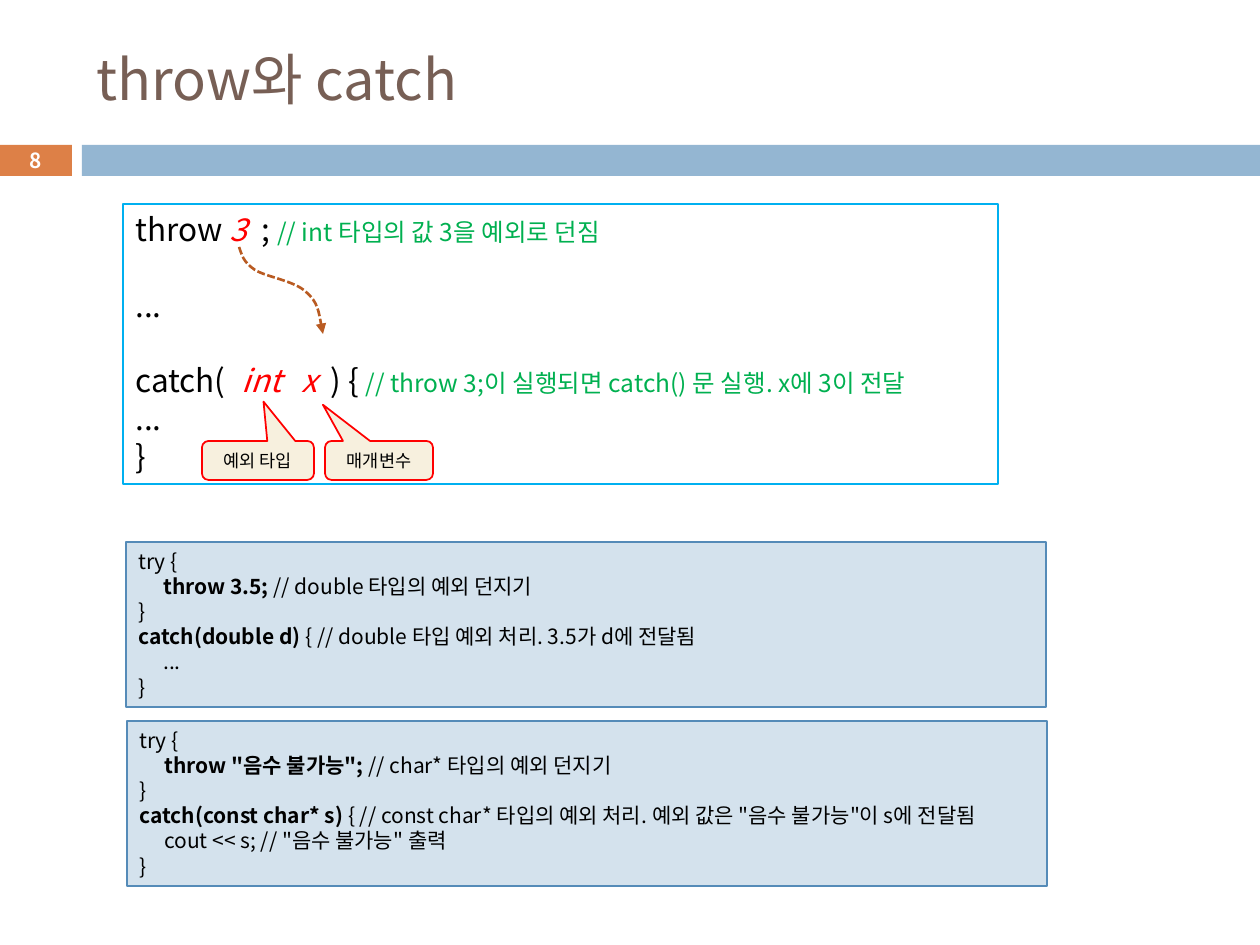
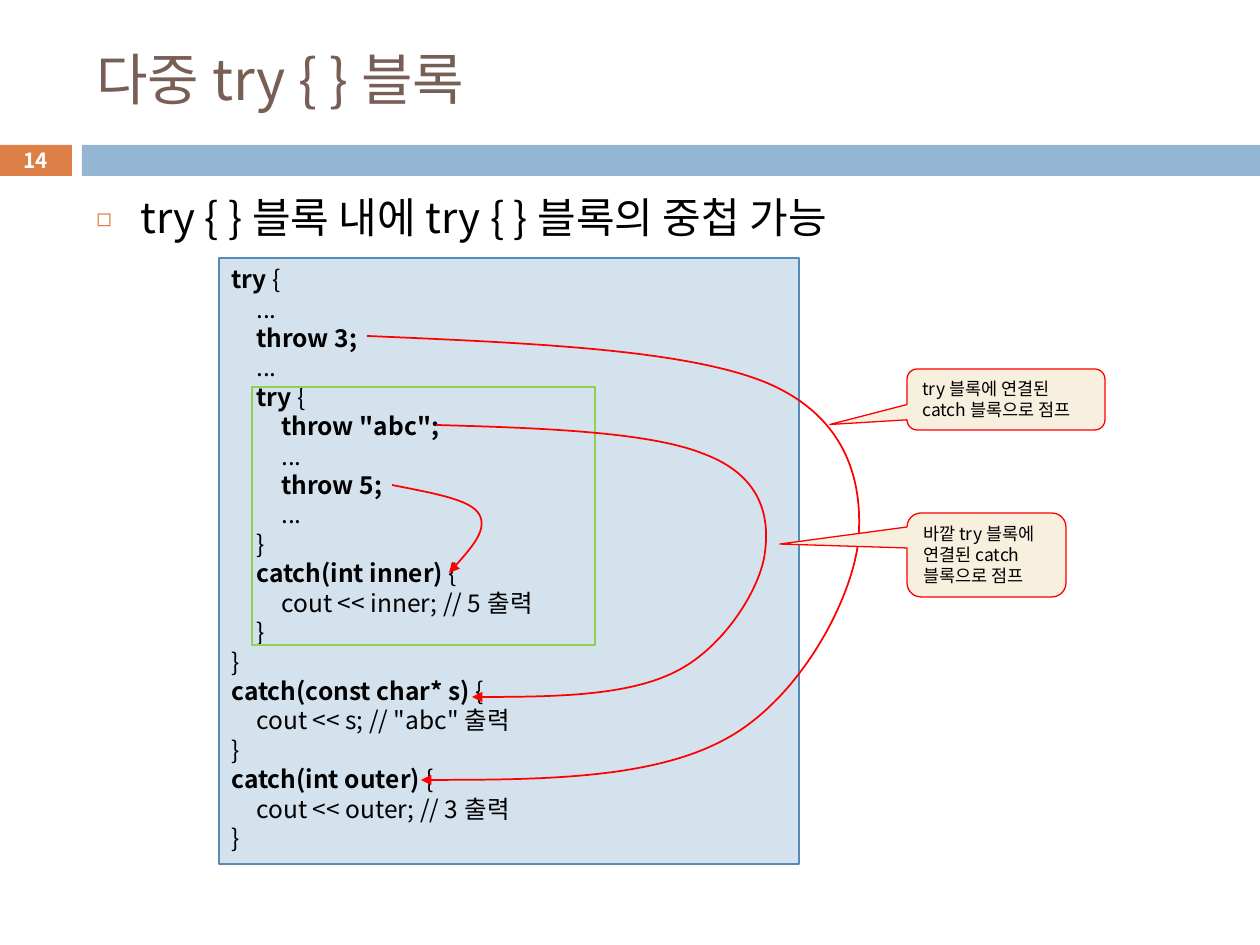
from dataclasses import dataclass
from typing import NamedTuple

from lxml import etree
from pptx import Presentation
from pptx.dml.color import RGBColor
from pptx.enum.dml import MSO_LINE
from pptx.enum.shapes import MSO_SHAPE
from pptx.enum.text import MSO_ANCHOR, PP_ALIGN
from pptx.oxml.ns import qn
from pptx.shapes.autoshape import Shape
from pptx.slide import Slide
from pptx.text.text import TextFrame
from pptx.util import Emu, Pt

RECTANGLE = MSO_SHAPE.RECTANGLE
CALLOUT = MSO_SHAPE.ROUNDED_RECTANGULAR_CALLOUT
TOP, MIDDLE = MSO_ANCHOR.TOP, MSO_ANCHOR.MIDDLE
LEFT, CENTER = PP_ALIGN.LEFT, PP_ALIGN.CENTER
SHORT_DASH = MSO_LINE.SQUARE_DOT
PX_PER_INCH = 126


@dataclass(frozen=True)
class Theme:
    font: str = "Noto Sans CJK KR"
    title: str = "775F55"
    number_band: str = "DD8047"
    title_band: str = "94B6D2"
    text: str = "000000"
    white: str = "FFFFFF"
    code_fill: str = "D4E2ED"
    code_line: str = "558BB8"
    syntax_line: str = "00B0F0"
    accent: str = "FF0000"
    comment: str = "00B050"
    callout_fill: str = "F7F0DE"
    value_arrow: str = "B95B22"
    inner_try: str = "92D050"
    title_size: float = 32
    bullet_size: float = 24
    syntax_size: float = 18
    code_size: float = 14
    small_code_size: float = 12
    number_size: float = 11.9
    callout_size: float = 10
    line_factor: float = 1.2


THEME = Theme()


class Box(NamedTuple):
    left: int
    top: int
    width: int
    height: int


class Span(NamedTuple):
    text: str
    bold: bool = False
    italic: bool = False
    color: str = ""
    size: float = 0


class Line(NamedTuple):
    spans: tuple[Span, ...]
    tabs: tuple[int, ...] = (25, 50)
    gap_before: float = 0
    bullet: str = ""


class Style(NamedTuple):
    size: float
    color: str = THEME.text
    bold: bool = False
    align: PP_ALIGN = LEFT
    anchor: MSO_ANCHOR = TOP


class Callout(NamedTuple):
    box: Box
    text: str
    tip: tuple[float, float]
    style: Style
    line_width: float


class Curve(NamedTuple):
    points: tuple[tuple[int, int], ...]
    color: str = THEME.accent
    width: float = 1
    dashed: bool = False


def px(length: float) -> Emu:
    return Emu(round(length * 914400 / PX_PER_INCH))


def rgb(color: str) -> RGBColor:
    return RGBColor.from_string(color)


def plain(text: str) -> tuple[Line, ...]:
    return (Line((Span(text),)),)


def code(lead: str, strong: str = "", rest: str = "") -> Line:
    spans = (Span(lead), Span(strong, bold=True), Span(rest))
    return Line(tuple(span for span in spans if span.text))


def add_bullet(properties: etree._Element, bullet: str) -> None:
    properties.set("marL", str(px(44)))
    properties.set("indent", str(px(-44)))
    color = etree.SubElement(properties, qn("a:buClr"))
    etree.SubElement(color, qn("a:srgbClr"), val=THEME.number_band)
    etree.SubElement(properties, qn("a:buSzPct"), val="60000")
    etree.SubElement(properties, qn("a:buFont"), typeface=THEME.font)
    etree.SubElement(properties, qn("a:buChar"), char=bullet)


def write(frame: TextFrame, lines: tuple[Line, ...], style: Style) -> None:
    frame.word_wrap = True
    frame.vertical_anchor = style.anchor
    for index, line in enumerate(lines):
        paragraph = frame.add_paragraph() if index else frame.paragraphs[0]
        properties = paragraph._p.get_or_add_pPr()
        if line.bullet:
            add_bullet(properties, line.bullet)
        if any("\t" in span.text for span in line.spans):
            stops = etree.SubElement(properties, qn("a:tabLst"))
            for stop in line.tabs:
                etree.SubElement(stops, qn("a:tab"), pos=str(px(stop)), algn="l")
        paragraph.alignment = style.align
        paragraph.line_spacing = Pt(style.size * THEME.line_factor)
        if line.gap_before:
            paragraph.space_before = Pt(line.gap_before)
        font = paragraph.font
        font.name, font.size, font.bold = THEME.font, Pt(style.size), style.bold
        font.color.rgb = rgb(style.color)
        defaults = properties.find(qn("a:defRPr"))
        etree.SubElement(defaults, qn("a:ea"), typeface=THEME.font)
        for span in line.spans:
            run = paragraph.add_run()
            run.text = span.text
            if span.bold:
                run.font.bold = True
            if span.italic:
                run.font.italic = True
            if span.color:
                run.font.color.rgb = rgb(span.color)
            if span.size:
                run.font.size = Pt(span.size)


def paint(shape: Shape, fill: str = "", line: str = "", width: float = 0.75) -> None:
    shape.shadow.inherit = False
    if fill:
        shape.fill.solid()
        shape.fill.fore_color.rgb = rgb(fill)
    else:
        shape.fill.background()
    if line:
        shape.line.color.rgb = rgb(line)
        shape.line.width = Pt(width)
    else:
        shape.line.fill.background()


def draw_box(slide: Slide, box: Box, fill: str = "", line: str = "",
             width: float = 0.75, kind: MSO_SHAPE = RECTANGLE) -> Shape:
    shape = slide.shapes.add_shape(kind, *map(px, box))
    paint(shape, fill, line, width)
    return shape


def draw_text(slide: Slide, box: Box, lines: tuple[Line, ...], style: Style) -> None:
    write(slide.shapes.add_textbox(*map(px, box)).text_frame, lines, style)


def draw_code(slide: Slide, box: Box, lines: tuple[Line, ...], size: float) -> None:
    block = draw_box(slide, box, THEME.code_fill, THEME.code_line)
    write(block.text_frame, lines, Style(size))


def draw_callout(slide: Slide, callout: Callout) -> None:
    shape = draw_box(slide, callout.box, THEME.callout_fill, THEME.accent,
                     callout.line_width, CALLOUT)
    shape.adjustments[0], shape.adjustments[1] = callout.tip
    write(shape.text_frame, plain(callout.text), callout.style)


def draw_curve(slide: Slide, curve: Curve) -> None:
    start, *rest = [(px(x), px(y)) for x, y in curve.points]
    builder = slide.shapes.build_freeform(*start)
    builder.add_line_segments(rest, close=False)
    shape = builder.convert_to_shape()
    paint(shape, line=curve.color, width=curve.width)
    if curve.dashed:
        shape.line.dash_style = SHORT_DASH
    outline = shape._element.spPr.find(qn("a:ln"))
    etree.SubElement(outline, qn("a:tailEnd"), type="triangle")
    route = next(shape._element.iter(qn("a:path")))
    steps = route.findall(qn("a:lnTo"))
    for first in range(0, len(steps), 3):
        bezier = etree.SubElement(route, qn("a:cubicBezTo"))
        for step in steps[first:first + 3]:
            bezier.append(step[0])
            route.remove(step)


def start_slide(deck: Presentation, title: str, number: int) -> Slide:
    slide = deck.slides.add_slide(deck.slide_layouts[6])
    number_band = draw_box(slide, Box(-1, 145, 73, 31), THEME.number_band)
    write(number_band.text_frame, plain(str(number)),
          Style(THEME.number_size, THEME.white, True, CENTER, MIDDLE))
    draw_box(slide, Box(82, 145, 1178, 31), THEME.title_band)
    draw_text(slide, Box(84, 32, 1082, 93), plain(title),
              Style(THEME.title_size, THEME.title, anchor=MIDDLE))
    return slide


def emphasis(text: str) -> Span:
    return Span(text, italic=True, color=THEME.accent)


def comment(text: str) -> Span:
    return Span(text, color=THEME.comment, size=THEME.code_size)


def build_throw_and_catch(deck: Presentation) -> None:
    slide = start_slide(deck, "throw와 catch", 8)
    blank = THEME.syntax_size * THEME.line_factor
    syntax = (
        Line((Span("throw "), emphasis("3"), Span("\t; "),
              comment("// int 타입의 값 3을 예외로 던짐")), tabs=(126,)),
        Line((Span("..."),), gap_before=blank),
        Line((Span("catch(\t"), emphasis("int\tx"), Span("\t) { "),
              comment("// throw 3;이 실행되면 catch() 문 실행. x에 3이 전달")),
             tabs=(106, 166, 195), gap_before=blank),
        Line((Span("..."),)),
        Line((Span("}"),)),
    )
    syntax_box = draw_box(slide, Box(123, 204, 875, 280), line=THEME.syntax_line)
    write(syntax_box.text_frame, syntax, Style(THEME.syntax_size))
    label = Style(THEME.callout_size, align=CENTER, anchor=MIDDLE)
    for callout in (
        Callout(Box(325, 441, 108, 39), "매개변수", (-0.52, -1.43), label, 1),
        Callout(Box(202, 441, 112, 39), "예외 타입", (0.05, -1.51), label, 1),
    ):
        draw_callout(slide, callout)
    draw_curve(slide, Curve(
        ((239, 247), (242, 255), (243, 262), (255, 270), (266, 277), (295, 281),
         (306, 292), (318, 302), (320, 319), (323, 334)),
        THEME.value_arrow, 1.5, True))
    examples = (
        (code("try {"),
         code("\t", "throw 3.5; ", "// double 타입의 예외 던지기"),
         code("}"),
         code("", "catch(double d) ", "{ // double 타입 예외 처리. 3.5가 d에 전달됨"),
         code("\t..."),
         code("}")),
        (code("try {"),
         code("\t", 'throw "음수 불가능"; ', "// char* 타입의 예외 던지기"),
         code("}"),
         code("", "catch(const char* s) ",
              '{ // const char* 타입의 예외 처리. 예외 값은 "음수 불가능"이 s에 전달됨'),
         code('\tcout << s; // "음수 불가능" 출력'),
         code("}")),
    )
    for index, lines in enumerate(examples):
        box = Box(126 + index, 542 + 179 * index, 920, 165)
        draw_code(slide, box, lines, THEME.small_code_size)


def build_nested_try(deck: Presentation) -> None:
    slide = start_slide(deck, "다중 try { } 블록", 14)
    draw_text(slide, Box(84, 185, 1082, 694),
              (Line((Span("try { } 블록 내에 try { } 블록의 중첩 가능"),), bullet="◻"),),
              Style(THEME.bullet_size))
    nested = (
        code("", "try", " {"),
        code("\t..."),
        code("\t", "throw 3;"),
        code("\t..."),
        code("\t", "try", " {"),
        code("\t\t", 'throw "abc";'),
        code("\t\t..."),
        code("\t\t", "throw 5;"),
        code("\t\t..."),
        code("\t}"),
        code("\t", "catch(int inner) ", "{"),
        code("\t\tcout << inner; // 5 출력"),
        code("\t}"),
        code("}"),
        code("", "catch(const char* s) ", "{"),
        code('\tcout << s; // "abc" 출력'),
        code("}"),
        code("", "catch(int outer) ", "{"),
        code("\tcout << outer; // 3 출력"),
        code("}"),
    )
    draw_code(slide, Box(219, 258, 580, 606), nested, THEME.code_size)
    draw_box(slide, Box(252, 387, 343, 258), line=THEME.inner_try, width=1.5)
    outer_jump = Curve((
        (367, 336), (527, 343), (685, 349), (767, 383), (849, 418), (864, 485),
        (858, 544), (850, 604), (798, 701), (724, 740), (651, 779), (537, 780),
        (421, 780)))
    inner_jump = Curve((
        (392, 485), (431, 493), (470, 499), (479, 514), (488, 529), (469, 551),
        (449, 573)))
    middle_jump = Curve((
        (436, 425), (543, 428), (650, 432), (704, 454), (760, 475), (770, 515),
        (765, 552), (761, 588), (724, 648), (675, 672), (627, 696), (549, 697),
        (472, 697)))
    draw_curve(slide, outer_jump)
    note = Style(THEME.callout_size)
    for callout in (
        Callout(Box(907, 369, 198, 61), "try 블록에 연결된 catch 블록으로 점프",
                (-0.89, 0.41), note, 0.75),
        Callout(Box(907, 513, 159, 84), "바깥 try 블록에 연결된 catch 블록으로 점프",
                (-1.3, -0.13), note, 0.75),
    ):
        draw_callout(slide, callout)
    for jump in (inner_jump, middle_jump):
        draw_curve(slide, jump)


def main() -> None:
    deck = Presentation()
    deck.slide_width, deck.slide_height = px(1260), px(945)
    build_throw_and_catch(deck)
    build_nested_try(deck)
    deck.save("out.pptx")


if __name__ == "__main__":
    main()
